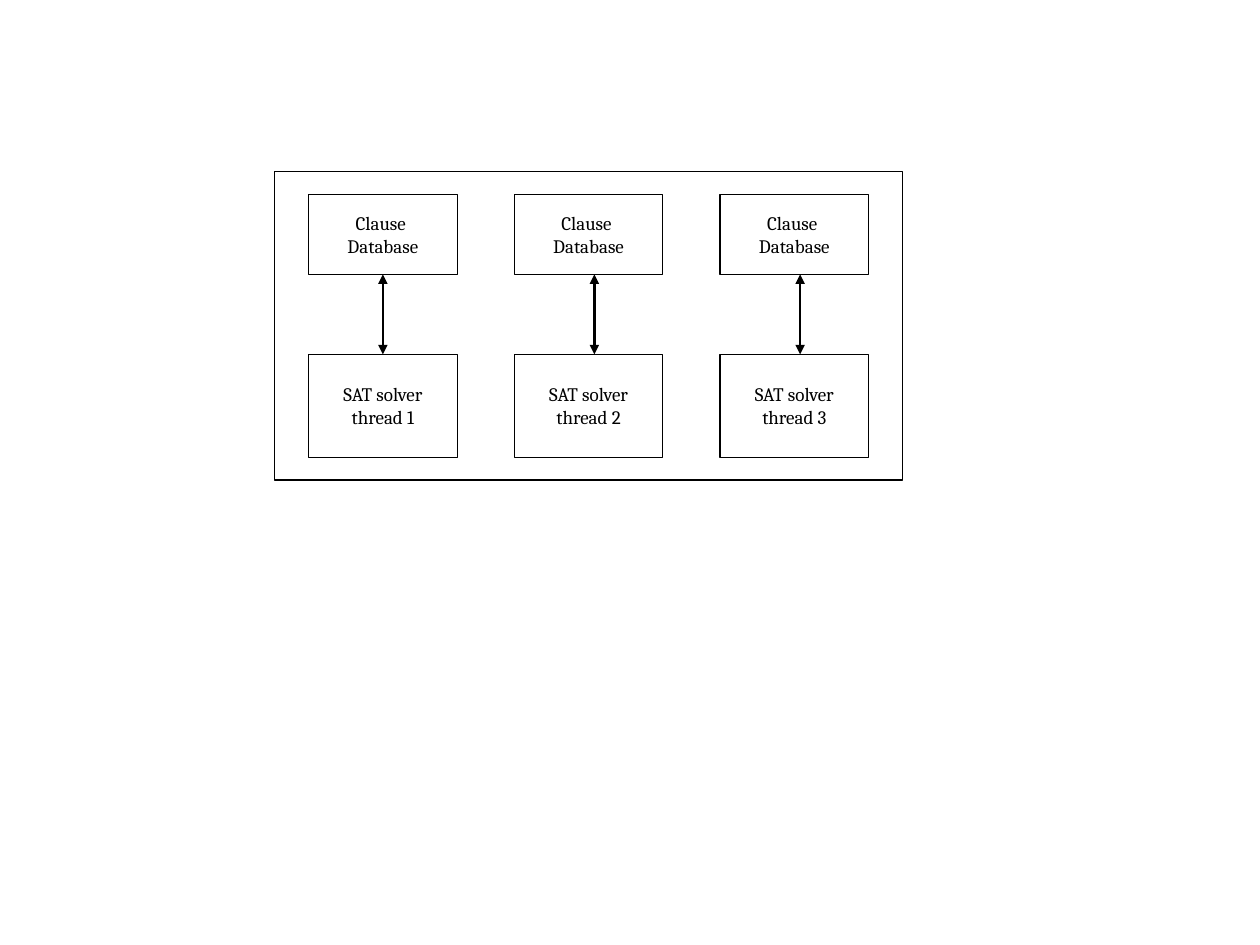
import pptx
import pptx.util
import pptx.dml.color
import pptx.enum.shapes
import pptx.enum.text
import pptx.oxml.ns
from lxml import etree

Inches = pptx.util.Inches
COLORS = {"ink": "000000"}
FONT = "Cambria"
INK = pptx.dml.color.RGBColor.from_string(COLORS["ink"])

# The page is 28 by 21 cm
CM_PER_INCH = 2.54
PAGE_WIDTH, PAGE_HEIGHT = 28 / CM_PER_INCH, 21 / CM_PER_INCH

# Columns of the diagram, measured from its frame
COLUMN_LEFT, COLUMN_STEP, COLUMN_WIDTH = 0.3, 1.8, 1.3
ARROW_OFFSETS = [0.65, 0.7, 0.7]


def add_box(slide, left, top, width, height):
    box = slide.shapes.add_shape(
        pptx.enum.shapes.MSO_SHAPE.RECTANGLE,
        Inches(left), Inches(top), Inches(width), Inches(height))
    box.shadow.inherit = False
    box.fill.background()
    box.line.color.rgb = INK
    box.line.width = pptx.util.Pt(0)


def add_label(slide, left, top, width, text):
    label = slide.shapes.add_textbox(
        Inches(left), Inches(top), Inches(width), Inches(0.55))
    text_frame = label.text_frame
    text_frame.word_wrap = True
    text_frame.auto_size = pptx.enum.text.MSO_AUTO_SIZE.SHAPE_TO_FIT_TEXT
    text_frame.text = text
    for paragraph in text_frame.paragraphs:
        paragraph.alignment = pptx.enum.text.PP_ALIGN.CENTER
        for run in paragraph.runs:
            run.font.name = FONT
            run.font.size = pptx.util.Pt(12)
            run.font.color.rgb = INK


def add_double_arrow(slide, x, top, bottom):
    arrow = slide.shapes.add_connector(
        pptx.enum.shapes.MSO_CONNECTOR.STRAIGHT,
        Inches(x), Inches(top), Inches(x), Inches(bottom))
    arrow.line.color.rgb = INK
    arrow.line.width = pptx.util.Pt(1.45)
    properties = arrow._element.spPr
    line = properties.find(pptx.oxml.ns.qn("a:ln"))
    for end in ("a:headEnd", "a:tailEnd"):
        etree.SubElement(line, pptx.oxml.ns.qn(end), type="triangle")
    etree.SubElement(properties, pptx.oxml.ns.qn("a:effectLst"))


def add_solver_diagram(slide, left, top, width, height):
    # Outer frame
    add_box(slide, left, top, width, height)

    for index, arrow_offset in enumerate(ARROW_OFFSETS):
        column = left + COLUMN_LEFT + index * COLUMN_STEP

        # Clause database
        add_box(slide, column, top + 0.2, COLUMN_WIDTH, 0.7)
        add_label(slide, column, top + 0.3, COLUMN_WIDTH, "Clause \nDatabase")

        # Solver thread
        add_box(slide, column, top + 1.6, COLUMN_WIDTH, 0.9)
        add_label(slide, column, top + 1.8, COLUMN_WIDTH,
                  f"SAT solver\nthread {index + 1}")

        # Link between the two
        add_double_arrow(slide, column + arrow_offset, top + 0.9, top + 1.6)


def main():
    presentation = pptx.Presentation()
    presentation.slide_width = Inches(PAGE_WIDTH)
    presentation.slide_height = Inches(PAGE_HEIGHT)
    slide = presentation.slides.add_slide(presentation.slide_layouts[6])
    add_solver_diagram(slide, 2.4, 1.5, 5.5, 2.7)
    presentation.save("out.pptx")


if __name__ == "__main__":
    main()
